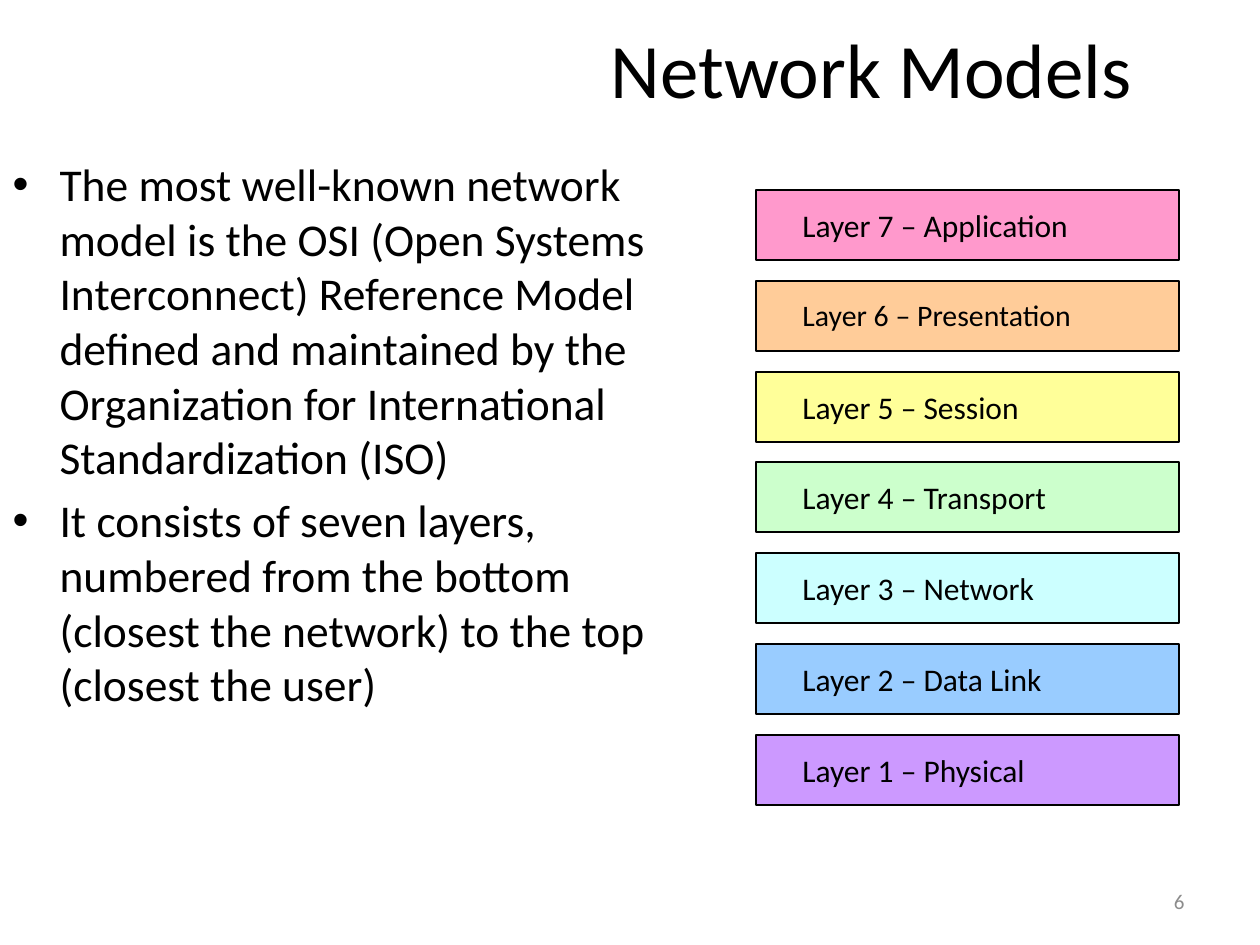
from lxml.etree import SubElement
from pptx import Presentation
from pptx.dml.color import RGBColor
from pptx.enum.shapes import MSO_SHAPE
from pptx.enum.text import MSO_ANCHOR, PP_ALIGN
from pptx.oxml.ns import qn
from pptx.util import Emu, Pt

COLOURS = {
    "text": "000000", "number": "8C8C8C",
    "Application": "FF99CC", "Presentation": "FFCC99", "Session": "FFFF99",
    "Transport": "CCFFCC", "Network": "CCFFFF", "Data Link": "99CCFF",
    "Physical": "CC99FF",
}
LAYERS = ["Application", "Presentation", "Session", "Transport", "Network",
          "Data Link", "Physical"]
POINTS = [
    "The most well-known network model is the OSI (Open Systems Interconnect) "
    "Reference Model defined and maintained by the Organization for "
    "International Standardization (ISO)",
    "It consists of seven layers, numbered from the bottom (closest the "
    "network) to the top (closest the user)",
]


def px(length):
    return Emu(round(length * 914400 / 126))


def colour(name):
    return RGBColor.from_string(COLOURS[name])


def write(para, text, size=18, fill="text", align=PP_ALIGN.LEFT, before=0):
    span = para.add_run()
    span.text = text
    span.font.name = "Calibri"
    span.font.size = Pt(size)
    span.font.color.rgb = colour(fill)
    para.alignment = align
    para.space_before = Pt(before)


class Painter:
    """Draws styled elements on the current slide."""

    def __init__(self, page):
        self.page = page

    def place(self, box, left, top, width, height):
        box.left, box.top = px(left), px(top)
        box.width, box.height = px(width), px(height)

    def title(self, text, *area):
        box = self.page.shapes.title
        self.place(box, *area)
        box.text_frame.vertical_anchor = MSO_ANCHOR.MIDDLE
        write(box.text_frame.paragraphs[0], text, size=44, align=PP_ALIGN.CENTER)

    def bullets(self, points, *area):
        box = self.page.placeholders[1]
        self.place(box, *area)
        frame = box.text_frame
        for index, point in enumerate(points):
            para = frame.add_paragraph() if index else frame.paragraphs[0]
            properties = para._p.get_or_add_pPr()
            properties.set("marL", str(px(47)))
            properties.set("indent", str(-px(47)))
            SubElement(properties, qn("a:buFont"), typeface="Arial")
            SubElement(properties, qn("a:buChar"), char="•")
            write(para, point, size=26, before=5 if index else 0)

    def label(self, text, *area, anchor=MSO_ANCHOR.TOP, **style):
        box = self.page.shapes.add_textbox(*map(px, area))
        box.text_frame.word_wrap = True
        box.text_frame.vertical_anchor = anchor
        write(box.text_frame.paragraphs[0], text, **style)

    def bar(self, fill, *area):
        box = self.page.shapes.add_shape(MSO_SHAPE.RECTANGLE, *map(px, area))
        box.shadow.inherit = False
        box.fill.solid()
        box.fill.fore_color.rgb = colour(fill)
        box.line.color.rgb = colour("text")
        box.line.width = Pt(0.75)


def main():
    deck = Presentation()
    deck.slide_width, deck.slide_height = px(1260), px(945)
    painter = Painter(deck.slides.add_slide(deck.slide_layouts[1]))
    painter.title("Network Models", 483, 0, 777, 136)
    painter.bullets(POINTS, 0, 150, 730, 700)
    first, last = 190, 735
    for index, layer in enumerate(LAYERS):
        top = first + round(index * (last - first) / (len(LAYERS) - 1))
        painter.bar(layer, 756, top, 423, 70)
        painter.label(f"Layer {len(LAYERS) - index} – {layer}", 790, top + 10,
                      370, 50, size=17 if layer == "Presentation" else 18)
    painter.label("6", 903, 876, 294, 50, anchor=MSO_ANCHOR.MIDDLE, size=12,
                  fill="number", align=PP_ALIGN.RIGHT)
    deck.save("out.pptx")


if __name__ == "__main__":
    main()
